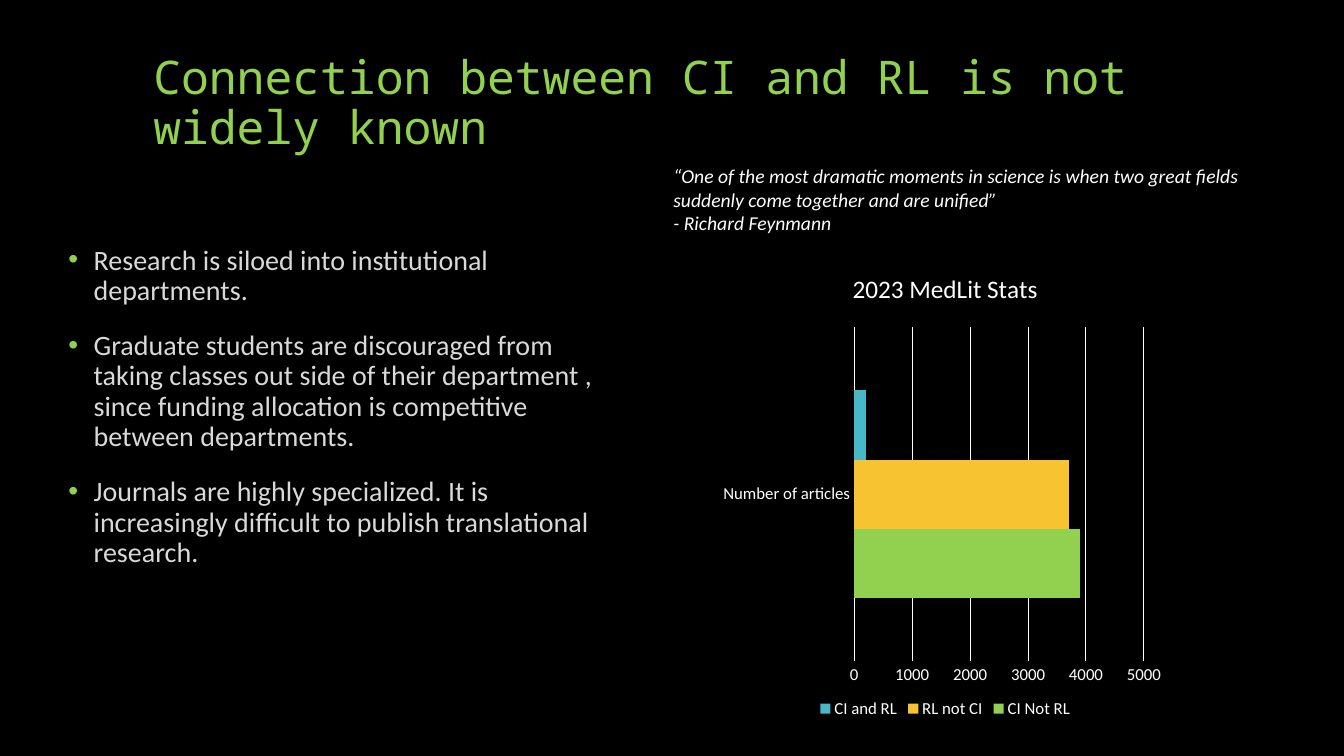
import pptx
import pptx.chart.data
import pptx.dml.color
import pptx.enum.chart
import pptx.enum.text
import pptx.oxml
import pptx.oxml.ns
import pptx.util
from pptx.util import Inches

BLACK = pptx.dml.color.RGBColor(0x00, 0x00, 0x00)
WHITE = pptx.dml.color.RGBColor(0xFF, 0xFF, 0xFF)
LIGHT_GRAY = pptx.dml.color.RGBColor(0xD9, 0xD9, 0xD9)
GREEN = pptx.dml.color.RGBColor(0x92, 0xD0, 0x50)
YELLOW = pptx.dml.color.RGBColor(0xF7, 0xC3, 0x31)
TEAL = pptx.dml.color.RGBColor(0x47, 0xB8, 0xC7)

TITLE = "Connection between CI and RL is not widely known"
POINTS = [
    "Research is siloed into institutional departments.",
    "Graduate students are discouraged from taking classes out side of their department , "
    "since funding allocation is competitive between departments.",
    "Journals are highly specialized. It is increasingly difficult to publish "
    "translational research.",
]
QUOTE = [
    "“One of the most dramatic moments in science is when two great fields "
    "suddenly come together and are unified”",
    "- Richard Feynmann",
]
CHART_TITLE = "2023 MedLit Stats"
ARTICLE_COUNTS = [
    ("CI Not RL", 3900, GREEN),
    ("RL not CI", 3700, YELLOW),
    ("CI and RL", 200, TEAL),
]
PLOT_LAYOUT = {"x": 0.31, "y": 0.16, "w": 0.605, "h": 0.709}


def format_font(font, size, color, name="Calibri"):
    font.size = pptx.util.Pt(size)
    font.name = name
    font.color.rgb = color


def format_line(line):
    line.color.rgb = WHITE
    line.width = pptx.util.Pt(0.75)


def set_title(slide):
    title = slide.shapes.title
    title.left, title.top = Inches(1.42), Inches(0.33)
    title.width, title.height = Inches(10), Inches(1.25)
    frame = title.text_frame
    frame.text = TITLE
    frame.word_wrap = True
    frame.auto_size = pptx.enum.text.MSO_AUTO_SIZE.NONE
    frame.vertical_anchor = pptx.enum.text.MSO_ANCHOR.BOTTOM
    paragraph = frame.paragraphs[0]
    paragraph.alignment = pptx.enum.text.PP_ALIGN.LEFT
    paragraph.line_spacing = 0.9
    format_font(paragraph.runs[0].font, 33.1, GREEN, "Noto Sans Mono")


def add_text(slide, left, top, width, height, lines, size, color):
    box = slide.shapes.add_textbox(Inches(left), Inches(top), Inches(width), Inches(height))
    frame = box.text_frame
    frame.word_wrap = True
    frame.text = "\n".join(lines)
    for paragraph in frame.paragraphs:
        format_font(paragraph.runs[0].font, size, color)
    return frame


def add_bullet(paragraph):
    paragraph.line_spacing = 0.9
    paragraph.space_before = pptx.util.Pt(18)
    properties = paragraph._p.get_or_add_pPr()
    properties.set("marL", str(Inches(0.25)))
    properties.set("indent", str(Inches(-0.25)))
    namespace = pptx.oxml.ns.nsdecls("a")
    for markup in (
        f'<a:buClr {namespace}><a:srgbClr val="{GREEN}"/></a:buClr>',
        f'<a:buFont {namespace} typeface="Arial"/>',
        f'<a:buChar {namespace} char="•"/>',
    ):
        properties.append(pptx.oxml.parse_xml(markup))


def set_plot_layout(chart):
    plot_area = chart._chartSpace.chart.plotArea
    for layout in plot_area.findall(pptx.oxml.ns.qn("c:layout")):
        plot_area.remove(layout)
    sizes = "".join(f'<c:{key} val="{value}"/>' for key, value in PLOT_LAYOUT.items())
    plot_area.insert(0, pptx.oxml.parse_xml(
        f'<c:layout {pptx.oxml.ns.nsdecls("c")}><c:manualLayout>'
        '<c:layoutTarget val="inner"/><c:xMode val="edge"/><c:yMode val="edge"/>'
        f'{sizes}</c:manualLayout></c:layout>'))


def add_article_chart(slide):
    data = pptx.chart.data.CategoryChartData()
    data.categories = ["Number of articles"]
    for name, count, color in ARTICLE_COUNTS:
        data.add_series(name, [count])
    chart = slide.shapes.add_chart(
        pptx.enum.chart.XL_CHART_TYPE.BAR_CLUSTERED,
        Inches(7), Inches(2.5), Inches(4.75), Inches(4.67), data).chart
    format_font(chart.font, 10, WHITE)

    chart.has_title = True
    chart.chart_title.include_in_layout = False
    chart.chart_title.text_frame.text = CHART_TITLE
    title_font = chart.chart_title.text_frame.paragraphs[0].runs[0].font
    format_font(title_font, 18, WHITE)
    title_font.bold = False

    chart.has_legend = True
    chart.legend.position = pptx.enum.chart.XL_LEGEND_POSITION.BOTTOM
    chart.legend.include_in_layout = False
    format_font(chart.legend.font, 12, WHITE)

    for axis in (chart.category_axis, chart.value_axis):
        axis.major_tick_mark = pptx.enum.chart.XL_TICK_MARK.NONE
        axis.minor_tick_mark = pptx.enum.chart.XL_TICK_MARK.NONE
        format_font(axis.tick_labels.font, 12, WHITE)
    format_line(chart.category_axis.format.line)
    chart.value_axis.format.line.fill.background()
    chart.value_axis.minimum_scale = 0
    chart.value_axis.maximum_scale = 5000
    chart.value_axis.major_unit = 1000
    format_line(chart.value_axis.major_gridlines.format.line)

    plot = chart.plots[0]
    plot.gap_width = 182
    plot.vary_by_categories = False
    for series, (name, count, color) in zip(plot.series, ARTICLE_COUNTS):
        series.format.fill.solid()
        series.format.fill.fore_color.rgb = color
    set_plot_layout(chart)


def main():
    presentation = pptx.Presentation()
    presentation.slide_width = Inches(13.33)
    presentation.slide_height = Inches(7.5)
    slide = presentation.slides.add_slide(presentation.slide_layouts.get_by_name("Title Only"))
    slide.background.fill.solid()
    slide.background.fill.fore_color.rgb = BLACK

    set_title(slide)
    points = add_text(slide, 0.58, 2.39, 5.58, 4.67, POINTS, 20, LIGHT_GRAY)
    for paragraph in points.paragraphs:
        add_bullet(paragraph)
    add_article_chart(slide)
    quote = add_text(slide, 6.58, 1.58, 5.92, 0.81, QUOTE, 14, WHITE)
    for paragraph in quote.paragraphs:
        paragraph.runs[0].font.italic = True
    presentation.save("out.pptx")


if __name__ == "__main__":
    main()
